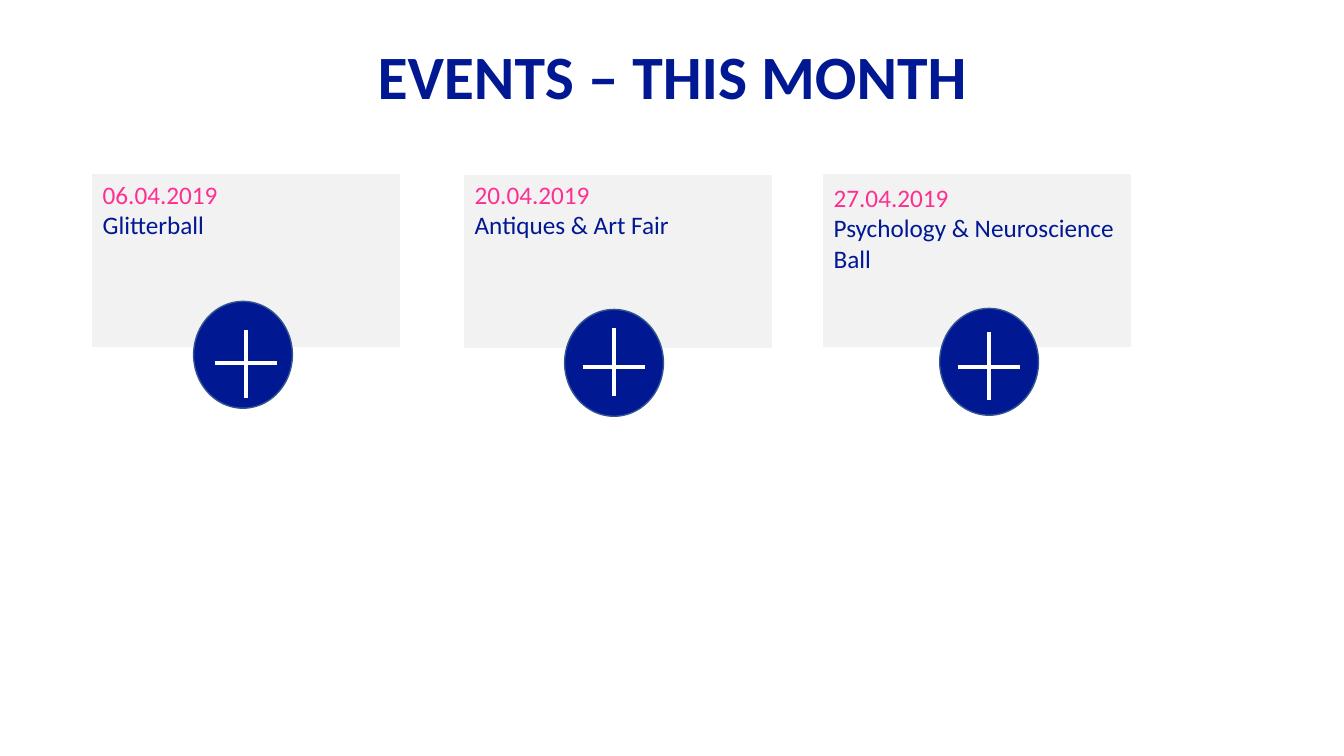
from dataclasses import dataclass

from lxml import etree
from pptx import Presentation
from pptx.dml.color import RGBColor as RGB
from pptx.enum.shapes import MSO_CONNECTOR as CONN, MSO_SHAPE as SHAPE
from pptx.enum.text import MSO_ANCHOR as ANCHOR, MSO_AUTO_SIZE as AUTO, PP_ALIGN as ALIGN
from pptx.oxml.ns import qn
from pptx.util import Inches, Pt


@dataclass(frozen=True)
class Theme:
    navy: RGB = RGB.from_string("011893")
    pink: RGB = RGB.from_string("FF2F92")
    card: RGB = RGB.from_string("F2F2F2")
    rim: RGB = RGB.from_string("325491")
    white: RGB = RGB.from_string("FFFFFF")
    font: str = "Calibri"
    title_size: Pt = Pt(44)
    text_size: Pt = Pt(18)


theme = Theme()
CARD_W, CARD_H = 3.04, 1.71
BUTTON_W, BUTTON_H = 0.98, 1.06
PLUS_W, PLUS_H = 0.61, 0.68

# date, event, card (left, top), text (top, height), button (left, top), plus centre (x, y of bar, top of stem)
EVENTS = [
    ("06.04.2019", "Glitterball", (0.92, 1.73), (1.73, 0.71), (1.92, 2.99), (2.44, 3.6, 3.27)),
    ("20.04.2019", "Antiques & Art Fair", (4.61, 1.74), (1.73, 0.71), (5.6, 3.07), (6.09, 3.64, 3.25)),
    ("27.04.2019", "Psychology & Neuroscience Ball", (8.17, 1.73), (1.76, 1.01), (9.32, 3.06), (9.81, 3.64, 3.29)),
]


def add_filled(kind, left, top, width, height, fill, line):
    sp = s.shapes.add_shape(kind, Inches(left), Inches(top), Inches(width), Inches(height))
    sp.shadow.inherit = False
    sp.fill.solid()
    sp.fill.fore_color.rgb = fill
    sp.line.color.rgb = line
    sp.line.width = Pt(1)


def style(p, size, color):
    p.font.name = theme.font
    p.font.size = size
    p.font.color.rgb = color


prs = Presentation()
prs.slide_width, prs.slide_height = Inches(13.33), Inches(7.5)
s = prs.slides.add_slide(prs.slide_layouts[5])

title = s.shapes.title
title.left, title.top, title.width, title.height = map(Inches, (0.92, 0.06, 11.5, 1.45))
title.text_frame.text = "EVENTS – THIS MONTH"
title.text_frame.vertical_anchor = ANCHOR.MIDDLE
p = title.text_frame.paragraphs[0]
p.alignment = ALIGN.CENTER
p.line_spacing = 0.9
p.font.bold = True
style(p, theme.title_size, theme.navy)

for date, event, (left, top), (text_top, text_h), button, (plus_x, bar_y, stem_top) in EVENTS:
    add_filled(SHAPE.RECTANGLE, left, top, CARD_W, CARD_H, theme.card, theme.card)

    box = s.shapes.add_textbox(Inches(left), Inches(text_top), Inches(CARD_W), Inches(text_h))
    tf = box.text_frame
    tf.word_wrap = True
    tf.auto_size = AUTO.SHAPE_TO_FIT_TEXT
    tf.text = f"{date}\n{event}"
    for p, color in zip(tf.paragraphs, (theme.pink, theme.navy)):
        style(p, theme.text_size, color)

    add_filled(SHAPE.OVAL, *button, BUTTON_W, BUTTON_H, theme.navy, theme.rim)

    stem = (plus_x, stem_top, plus_x, stem_top + PLUS_H)
    bar = (plus_x - PLUS_W / 2, bar_y, plus_x + PLUS_W / 2, bar_y)
    for ends in (stem, bar):
        stroke = s.shapes.add_connector(CONN.STRAIGHT, *map(Inches, ends))
        stroke.line.color.rgb = theme.white
        stroke.line.width = Pt(3)
        etree.SubElement(stroke._element.spPr, qn("a:effectLst"))

prs.save("out.pptx")
